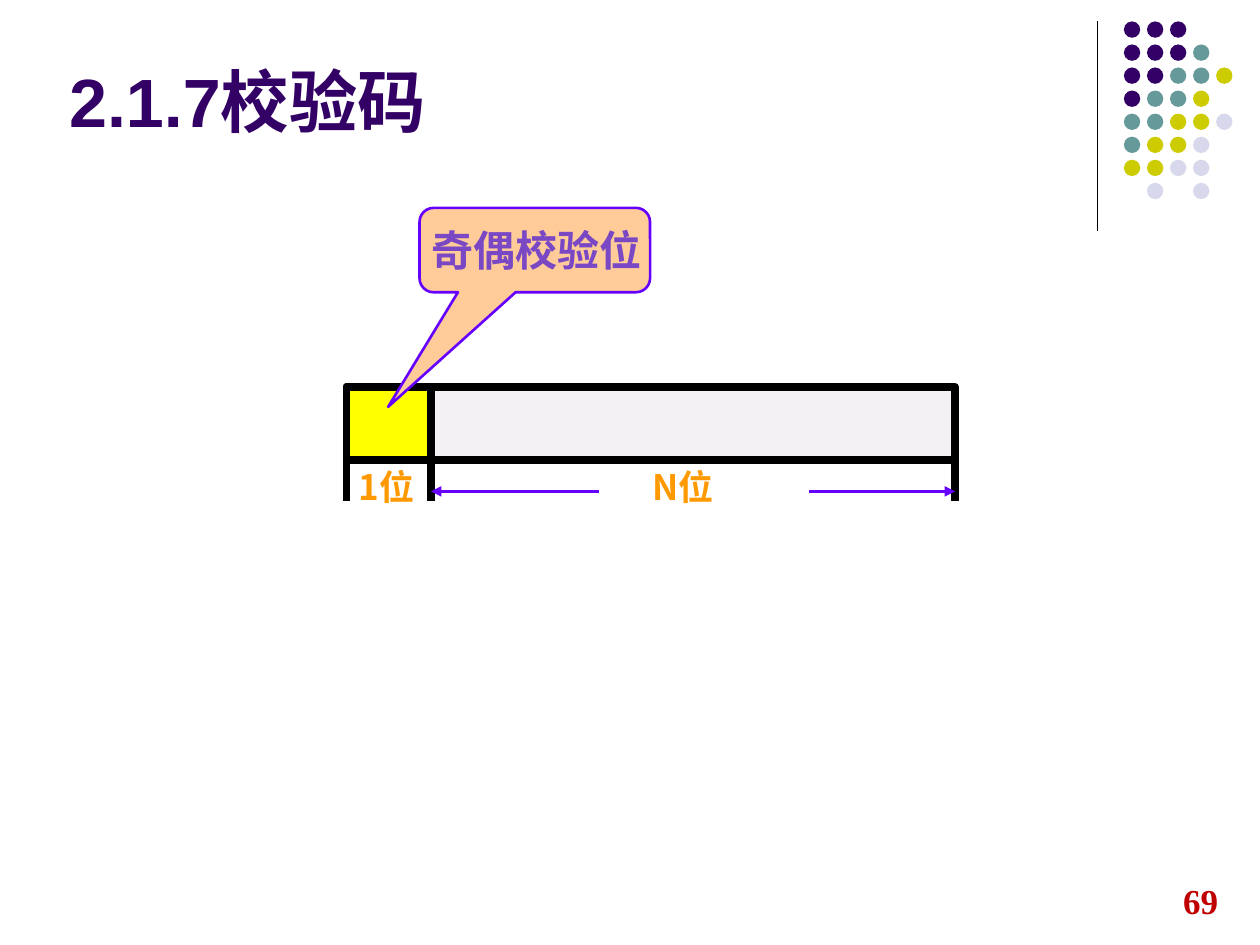
from dataclasses import dataclass

import pptx
import pptx.dml.color
import pptx.enum.shapes
import pptx.enum.text
import pptx.oxml.ns
import pptx.util
from lxml import etree

Inches = pptx.util.Inches
Shape = pptx.enum.shapes.MSO_SHAPE
Align = pptx.enum.text.PP_ALIGN


@dataclass(frozen=True)
class Theme:
    title: str = "330066"
    ink: str = "000000"
    accent: str = "6600FF"
    data_fill: str = "F4F1F5"
    parity_fill: str = "FFFF00"
    callout_fill: str = "FFCC99"
    callout_text: str = "7A48C4"
    bits_text: str = "FF9900"
    number: str = "C00000"
    title_size: float = 39
    callout_size: float = 24
    label_size: float = 20
    thin: float = 0.75
    medium: float = 1.5
    thick: float = 4.5
    sans: str = "Arial"
    serif: str = "Times New Roman"
    cjk: str = "Noto Sans CJK SC"


THEME = Theme()
DOT_COLORS = {"P": THEME.title, "T": "669999", "Y": "CCCC00", "L": "D8D8EC"}
DOT_ROWS = ["PPP", "PPPT", "PPTTY", "PTTY", "TTYYL", "TYYL", "YYLL", ".L.L"]


def rgb(value):
    return pptx.dml.color.RGBColor.from_string(value)


def add_box(slide, kind, left, top, width, height, fill, line=None, weight=None):
    sp = slide.shapes.add_shape(kind, Inches(left), Inches(top), Inches(width), Inches(height))
    sp.shadow.inherit = False
    sp.fill.solid()
    sp.fill.fore_color.rgb = rgb(fill)
    if line:
        sp.line.color.rgb = rgb(line)
        sp.line.width = pptx.util.Pt(weight)
    else:
        sp.line.fill.background()
    return sp


def add_line(slide, x1, y1, x2, y2, color, weight, arrow=False):
    """Draw a straight line, with an arrowhead at its end if asked."""
    cxn = slide.shapes.add_connector(
        pptx.enum.shapes.MSO_CONNECTOR.STRAIGHT, Inches(x1), Inches(y1), Inches(x2), Inches(y2))
    cxn.line.color.rgb = rgb(color)
    cxn.line.width = pptx.util.Pt(weight)
    qn = pptx.oxml.ns.qn
    if arrow:
        etree.SubElement(cxn.line._get_or_add_ln(), qn("a:tailEnd"), type="triangle")
    etree.SubElement(cxn._element.spPr, qn("a:effectLst"))


def add_text(slide, text, left, top, width, height, *, size, color, font, align=Align.LEFT):
    sp = slide.shapes.add_textbox(Inches(left), Inches(top), Inches(width), Inches(height))
    tf = sp.text_frame
    tf.word_wrap = True
    tf.vertical_anchor = pptx.enum.text.MSO_ANCHOR.MIDDLE
    p = tf.paragraphs[0]
    p.alignment = align
    r = p.add_run()
    r.text = text
    r.font.size = pptx.util.Pt(size)
    r.font.bold = True
    r.font.color.rgb = rgb(color)
    r.font.name = font
    etree.SubElement(r._r.get_or_add_rPr(), pptx.oxml.ns.qn("a:ea"), typeface=THEME.cjk)


def add_corner_dots(slide):
    left, top, pitch, size = 8.92, 0.17, 0.183, 0.13
    add_line(slide, 8.71, top, 8.71, 1.83, THEME.ink, THEME.thin)
    for row, codes in enumerate(DOT_ROWS):
        for col, code in enumerate(codes):
            if code in DOT_COLORS:
                add_box(slide, Shape.OVAL, left + col * pitch, top + row * pitch,
                        size, size, DOT_COLORS[code])


def add_code_word(slide):
    """Draw the parity bit, the N data bits and the dimension marks below."""
    left, split, right = 2.75, 3.42, 7.58
    top, height, mark_bottom, arrow_y = 3.07, 0.58, 3.98, 3.9
    border = (THEME.ink, THEME.thick)
    add_box(slide, Shape.RECTANGLE, left, top, right - left, height, THEME.data_fill, *border)
    for x, y in [(left, 3.48), (split, 3.4), (right, 3.48)]:
        add_line(slide, x, y, x, mark_bottom, *border)
    for start, end in [(6.42, right), (4.75, split)]:
        add_line(slide, start, arrow_y, end, arrow_y, THEME.accent, THEME.medium, arrow=True)
    for text, x in [("N位", 5.08), ("1位", left)]:
        add_text(slide, text, x, top + height, 1.17, 0.43,
                 size=THEME.label_size, color=THEME.bits_text, font=THEME.cjk)
    add_box(slide, Shape.RECTANGLE, left, top, split - left, height, THEME.parity_fill, *border)


def add_callout(slide):
    sp = add_box(slide, Shape.ROUNDED_RECTANGULAR_CALLOUT, 3.33, 1.65, 1.83, 0.67,
                 THEME.callout_fill, THEME.accent, THEME.medium)
    for i, value in enumerate([-0.636, 1.857, 0.167]):
        sp.adjustments[i] = value
    add_text(slide, "奇偶校验位", 3.33, 1.73, 2.17, 0.5,
             size=THEME.callout_size, color=THEME.callout_text, font=THEME.serif)


def main():
    prs = pptx.Presentation()
    prs.slide_width, prs.slide_height = Inches(10), Inches(7.5)
    slide = prs.slides.add_slide(prs.slide_layouts[6])
    add_corner_dots(slide)
    add_code_word(slide)
    add_callout(slide)
    add_text(slide, "69", 9.25, 6.9, 0.56, 0.5, size=THEME.label_size,
             color=THEME.number, font=THEME.serif, align=Align.CENTER)
    add_text(slide, "2.1.7校验码", 0.45, 0.36, 3.53, 0.87, size=THEME.title_size,
             color=THEME.title, font=THEME.sans)
    prs.save("out.pptx")


if __name__ == "__main__":
    main()
